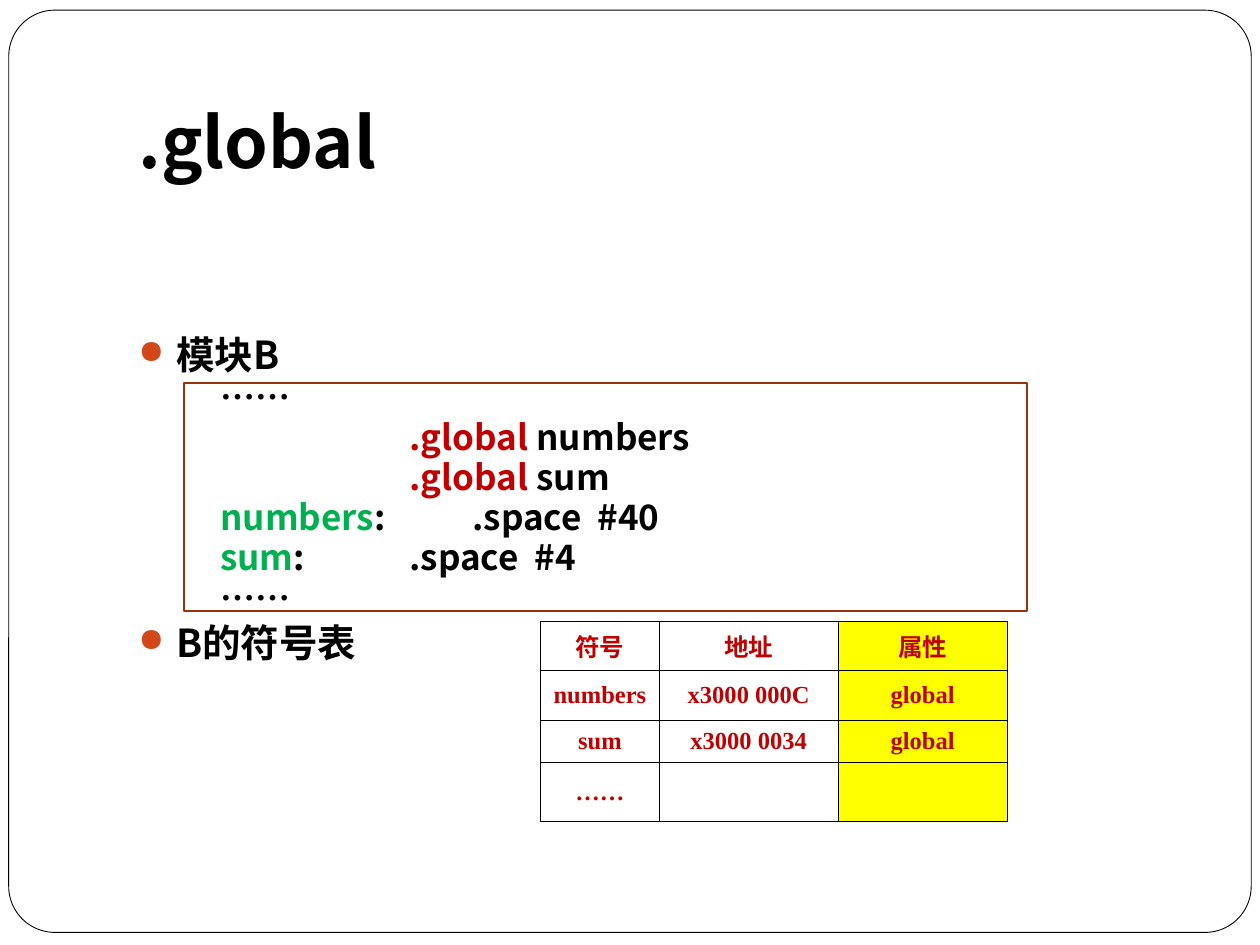
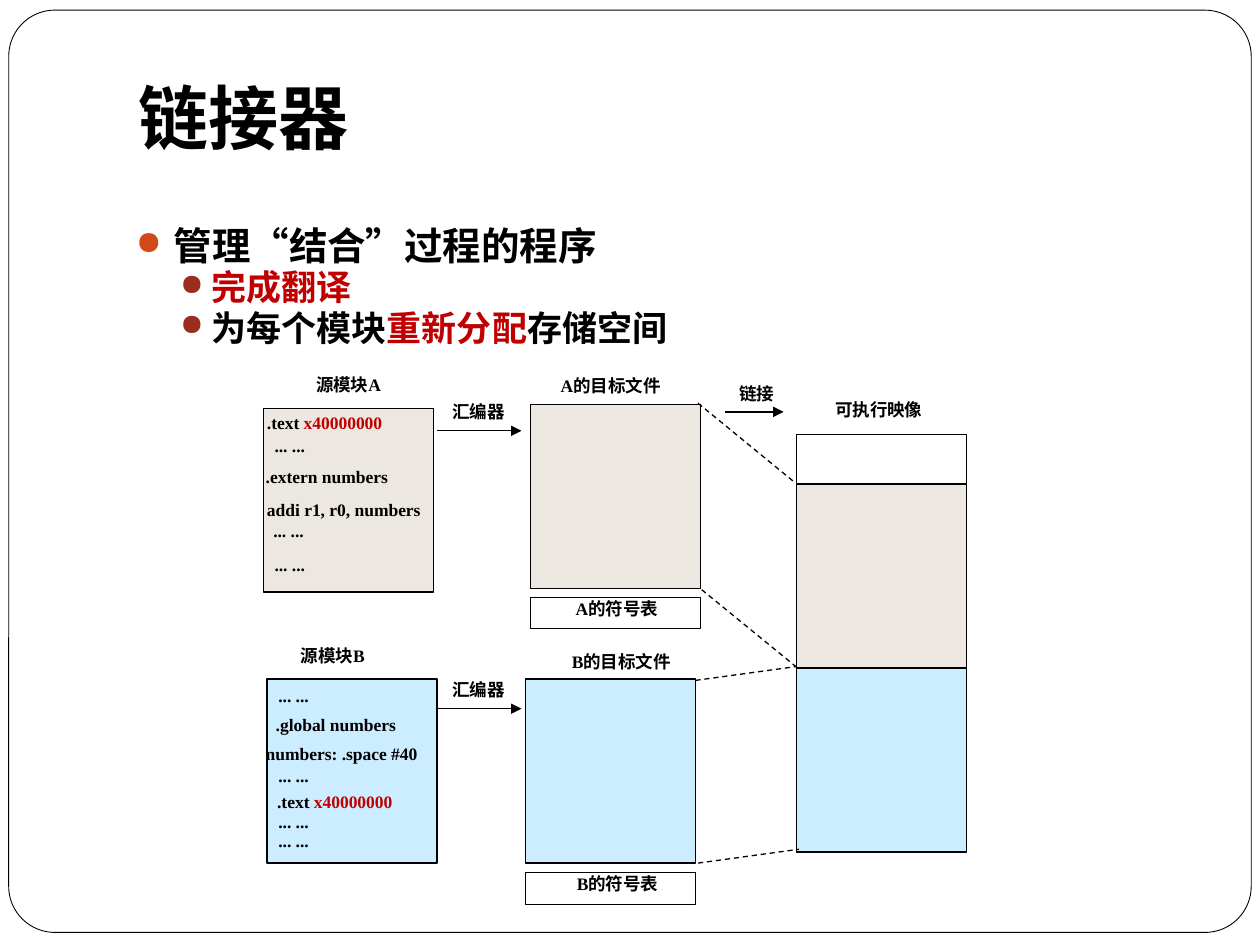
"""Builds two slides about the .global directive and the linker."""
from dataclasses import dataclass
from typing import NamedTuple, Optional

from lxml import etree
from pptx import Presentation, dml, util as u
from pptx.dml import color as colors
from pptx.enum import dml as lines, shapes, text
from pptx.oxml import ns

Pt = u.Pt


@dataclass(frozen=True)
class Theme:
    """Colours, faces and type sizes."""
    black: str = "000000"
    white: str = "FFFFFF"
    red: str = "C00000"
    green: str = "00B050"
    yellow: str = "FFFF00"
    sand: str = "ECE8E1"
    sky: str = "CCECFF"
    frame: str = "9B320E"
    bullet: str = "D34817"
    sub_bullet: str = "9B2D1F"
    sans: str = "Noto Sans CJK SC"
    serif: str = "Times New Roman"
    title: float = 40
    body: float = 22
    sub: float = 20
    cell: float = 14
    label: float = 10


THEME = Theme()


class Span(NamedTuple):
    """A piece of text in one colour."""
    words: str
    color: str = THEME.black


class Level(NamedTuple):
    """Indents, spacing and bullet of a body paragraph."""
    size: float
    margin: float
    indent: float
    before: float
    bullet: Optional[str] = None


class Block(NamedTuple):
    """A rectangle in the linking diagram."""
    left: float
    top: float
    fill: Optional[str] = None
    height: float = 105.1


class Label(NamedTuple):
    """A small caption or code line in the diagram."""
    left: float
    top: float
    spans: tuple
    width: float = 100
    centered: bool = False


class Link(NamedTuple):
    """A straight line, dashed or with an arrowhead."""
    x1: float
    y1: float
    x2: float
    y2: float
    dashed: bool = False


TOP = Level(THEME.body, 21.6, -21.6, 5.8, THEME.bullet)
SUB = Level(THEME.sub, 43.2, -18, 3.7, THEME.sub_bullet)
CODE = Level(THEME.sub, 46.8, 0, 3.7)

DOTS = (Span("... ..."),)
TEXT_AT = (Span(".text "), Span("x40000000", THEME.red))
BLOCK_WIDTH = 97.2

MODULE_B = [
    (TOP, [Span("模块B")]),
    (CODE, [Span("……")]),
    (CODE, [Span("\t\t\t"), Span(".global ", THEME.red), Span("numbers")]),
    (CODE, [Span("\t\t\t"), Span(".global ", THEME.red), Span("sum")]),
    (CODE, [Span("numbers", THEME.green), Span(":\t\t.space  #40")]),
    (CODE, [Span("sum", THEME.green), Span(":\t\t.space  #4")]),
    (CODE, [Span("……")]),
    (TOP, [Span("B的符号表")]),
]
SYMBOLS = [
    ("符号", "地址", "属性"),
    ("numbers", "x3000 000C", "global"),
    ("sum", "x3000 0034", "global"),
    ("……", "", ""),
]
LINKER = [
    (TOP, [Span("管理“结合”过程的程序")]),
    (SUB, [Span("完成翻译", THEME.red)]),
    (SUB, [Span("为每个模块"), Span("重新分配", THEME.red), Span("存储空间")]),
]
BLOCKS = [
    Block(150.5, 233.3, THEME.sand),
    Block(303.1, 231.1, THEME.sand),
    Block(303.1, 341.3, height=18),
    Block(152.6, 388.1, THEME.sky),
    Block(300.2, 388.1, THEME.sky),
    Block(300.2, 498.7, height=18),
    Block(455, 277, THEME.sand),
    Block(455, 248.4, height=28.1),
    Block(455, 381.8, THEME.sky),
]
LABELS = [
    Label(179.3, 213.1, (Span("源模块A"),)),
    Label(151.2, 234.7, TEXT_AT),
    Label(155.5, 247.7, DOTS),
    Label(150.5, 265.7, (Span(".extern numbers"),)),
    Label(151.2, 284.4, (Span("addi r1, r0, numbers"),)),
    Label(154.8, 296.6, DOTS),
    Label(155.5, 316.1, DOTS),
    Label(170.6, 367.9, (Span("源模块B"),)),
    Label(157.7, 391, DOTS),
    Label(156.2, 407.5, (Span(".global numbers"),)),
    Label(150.5, 424.1, (Span("numbers: .space #40"),)),
    Label(157.7, 436.3, DOTS),
    Label(157, 451.4, TEXT_AT),
    Label(157.7, 463, DOTS),
    Label(157.7, 473.8, DOTS),
    Label(257, 228.2, (Span("汇编器"),), 37),
    Label(257, 387.4, (Span("汇编器"),), 37),
    Label(319, 213.8, (Span("A的目标文件"),), 74),
    Label(327.6, 341.3, (Span("A的符号表"),), 62),
    Label(306.7, 371.5, (Span("B的目标文件"),), 96.5, True),
    Label(311.8, 498.2, (Span("B的符号表"),), 82, True),
    Label(421.2, 218.2, (Span("链接"),), 37),
    Label(475.9, 227.5, (Span("可执行映像"),), 58),
]
LINKS = [
    Link(249.8, 246.2, 298, 246.2),
    Link(249.8, 405, 298, 405),
    Link(414, 235.4, 447.8, 235.4),
    Link(398.9, 230.4, 454.3, 275.8, True),
    Link(401, 337, 456.5, 382.3, True),
    Link(397.4, 388.8, 455, 380.9, True),
    Link(398.9, 493.2, 456.5, 485.3, True),
]


def rgb(code: str) -> colors.RGBColor:
    """Turn a hex code into a colour."""
    return colors.RGBColor.from_string(code)


def write(para, spans, size: float, face: str) -> None:
    """Fill a paragraph with bold spans of one size and face."""
    shades = {span.color for span in spans}
    base = shades.pop() if len(shades) == 1 else THEME.black
    para.font.size = Pt(size)
    para.font.bold = True
    para.font.name = face
    para.font.color.rgb = rgb(base)
    defaults = para._p.pPr.find(ns.qn("a:defRPr"))
    etree.SubElement(defaults, ns.qn("a:ea"), typeface=THEME.sans)
    for span in spans:
        run = para.add_run()
        run.text = span.words
        if span.color != base:
            run.font.color.rgb = rgb(span.color)


def add_text(page, left: float, top: float, width: float, height: float,
             margins=(7.2, 3.6, 7.2, 3.6), anchor=text.MSO_ANCHOR.TOP):
    """Add an empty wrapping text box and return its frame."""
    box = page.shapes.add_textbox(Pt(left), Pt(top), Pt(width), Pt(height))
    frame = box.text_frame
    frame.word_wrap = True
    frame.vertical_anchor = anchor
    (frame.margin_left, frame.margin_top,
     frame.margin_right, frame.margin_bottom) = map(Pt, margins)
    return frame


def add_box(page, left: float, top: float, width: float, height: float,
            fill: Optional[str], line: str, weight: float,
            kind=shapes.MSO_SHAPE.RECTANGLE):
    """Add an outlined shape, filled when a colour is given."""
    box = page.shapes.add_shape(kind, Pt(left), Pt(top), Pt(width), Pt(height))
    box.shadow.inherit = False
    if fill:
        box.fill.solid()
        box.fill.fore_color.rgb = rgb(fill)
    else:
        box.fill.background()
    box.line.color.rgb = rgb(line)
    box.line.width = Pt(weight)
    return box


def start_page(deck, title: str, anchor, bottom: float):
    """Add a slide with the rounded frame and its title."""
    page = deck.slides.add_slide(deck.slide_layouts[6])
    frame = add_box(page, 5, 5.8, 710, 527, THEME.white, THEME.black, 0.5,
                    shapes.MSO_SHAPE.ROUNDED_RECTANGLE)
    frame.adjustments[0] = 0.05
    heading = add_text(page, 72, 21.6, 612, 90, (7.2, 3.6, 7.2, bottom), anchor)
    write(heading.paragraphs[0], [Span(title)], THEME.title, THEME.sans)
    return page


def add_body(page, left: float, top: float, width: float, height: float, items) -> None:
    """Add the bulleted and code paragraphs of a slide."""
    frame = add_text(page, left, top, width, height)
    for index, (level, spans) in enumerate(items):
        para = frame.add_paragraph() if index else frame.paragraphs[0]
        para.line_spacing = 0.8
        para.space_before = Pt(level.before if index else 0)
        props = para._p.get_or_add_pPr()
        props.set("marL", str(Pt(level.margin)))
        props.set("indent", str(Pt(level.indent)))
        if level.bullet:
            shade = etree.SubElement(props, ns.qn("a:buClr"))
            etree.SubElement(shade, ns.qn("a:srgbClr"), val=level.bullet)
            etree.SubElement(props, ns.qn("a:buSzPct"), val="85000")
            etree.SubElement(props, ns.qn("a:buChar"), char="●")
        else:
            etree.SubElement(props, ns.qn("a:buNone"))
            stops = etree.SubElement(props, ns.qn("a:tabLst"))
            for stop in range(1, 4):
                etree.SubElement(stops, ns.qn("a:tab"), pos=str(Pt(72 * stop)), algn="l")
        write(para, spans, level.size, THEME.sans)


def add_symbols(page) -> None:
    """Add the symbol table with its highlighted last column."""
    widths, heights = (67.9, 102.2, 96.5), (28.3, 28.3, 22.7, 34)
    table = page.shapes.add_table(len(heights), len(widths), Pt(308.9), Pt(355),
                                  Pt(sum(widths)), Pt(sum(heights))).table
    table.first_row = table.horz_banding = False
    for column, width in zip(table.columns, widths):
        column.width = Pt(width)
    for row, height, words in zip(table.rows, heights, SYMBOLS):
        row.height = Pt(height)
        for index, (cell, word) in enumerate(zip(row.cells, words)):
            cell.vertical_anchor = text.MSO_ANCHOR.MIDDLE
            cell.margin_left = cell.margin_right = Pt(5.4)
            for side in ("a:lnL", "a:lnR", "a:lnT", "a:lnB"):
                edge = etree.SubElement(cell._tc.tcPr, ns.qn(side), w=str(Pt(0.45)))
                paint = etree.SubElement(edge, ns.qn("a:solidFill"))
                etree.SubElement(paint, ns.qn("a:srgbClr"), val=THEME.black)
            if index == len(widths) - 1:
                cell.fill.solid()
                cell.fill.fore_color.rgb = rgb(THEME.yellow)
            else:
                cell.fill.background()
            if word:
                para = cell.text_frame.paragraphs[0]
                para.alignment = text.PP_ALIGN.CENTER
                write(para, [Span(word, THEME.red)], THEME.cell, THEME.serif)


def add_label(page, label: Label) -> None:
    """Add one diagram label."""
    frame = add_text(page, label.left, label.top, label.width, 20, (1.4, 0.7, 1.4, 0.7))
    para = frame.paragraphs[0]
    para.alignment = text.PP_ALIGN.CENTER if label.centered else text.PP_ALIGN.LEFT
    write(para, label.spans, THEME.label, THEME.serif)


def add_link(page, link: Link) -> None:
    """Add a dashed guide or a solid arrow."""
    line = page.shapes.add_connector(shapes.MSO_CONNECTOR.STRAIGHT, Pt(link.x1),
                                     Pt(link.y1), Pt(link.x2), Pt(link.y2))
    line.line.color.rgb = rgb(THEME.black)
    line.line.width = Pt(0.75)
    if link.dashed:
        line.line.dash_style = lines.MSO_LINE.DASH
    else:
        etree.SubElement(line.line._get_or_add_ln(), ns.qn("a:tailEnd"), type="triangle")
    etree.SubElement(line._element.spPr, ns.qn("a:effectLst"))


def main() -> None:
    """Build and save the deck."""
    deck = Presentation()
    deck.slide_width, deck.slide_height = Pt(720), Pt(540)

    page = start_page(deck, ".global", text.MSO_ANCHOR.BOTTOM, 7.2)
    add_body(page, 72, 190.8, 566, 198.7, MODULE_B)
    add_box(page, 105.1, 218.9, 481.7, 130.3, None, THEME.frame, 1)
    add_symbols(page)

    page = start_page(deck, "链接器", text.MSO_ANCHOR.MIDDLE, 3.6)
    add_body(page, 70.6, 128.2, 561.6, 77.8, LINKER)
    for block in BLOCKS:
        add_box(page, block.left, block.top, BLOCK_WIDTH, block.height,
                block.fill, THEME.black, 0.75)
    for label in LABELS:
        add_label(page, label)
    for link in LINKS:
        add_link(page, link)
    deck.save("out.pptx")


if __name__ == "__main__":
    main()
